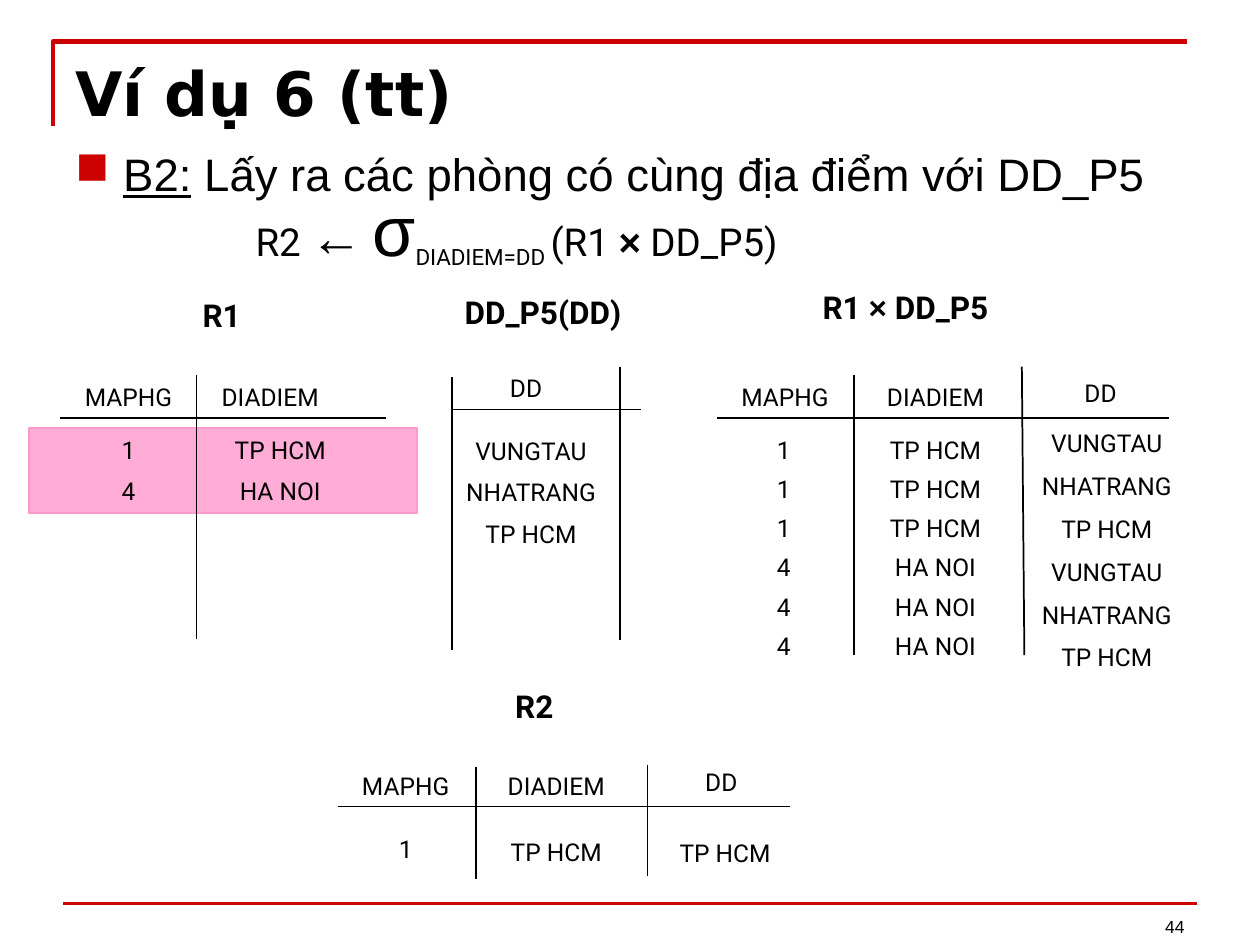
from lxml.etree import SubElement
from pptx import Presentation
from pptx.dml.color import RGBColor as RGB
from pptx.enum.shapes import MSO_CONNECTOR as LINK, MSO_SHAPE as PRESET
from pptx.enum.text import MSO_ANCHOR as ANCHOR, PP_ALIGN as ALIGN
from pptx.oxml.ns import qn
from pptx.util import Inches, Pt

COLORS = {"ink": "000000", "accent": "CC0000", "mark": "FF99CC"}

deck = Presentation()
deck.slide_width, deck.slide_height = Inches(10), Inches(7.5)
COL = deck.slide_width // 100
ROW = deck.slide_height // 75
slide = deck.slides.add_slide(deck.slide_layouts[6])
shapes = slide.shapes


def write(x, y, w, h, runs, size, font="Roboto", bold=False, align=ALIGN.LEFT, anchor=ANCHOR.TOP):
    box = shapes.add_textbox(int(x * COL), int(y * ROW), int(w * COL), int(h * ROW))
    frame = box.text_frame
    frame.word_wrap = True
    frame.vertical_anchor = anchor
    paragraph = frame.paragraphs[0]
    paragraph.alignment = align
    for text in runs:
        paragraph.add_run().text = text
    paragraph.font.size = Pt(size)
    paragraph.font.name = font
    paragraph.font.bold = bold
    paragraph.font.color.rgb = RGB.from_string(COLORS["ink"])
    return paragraph


def rule(x1, y1, x2, y2, color="ink", width=1):
    line = shapes.add_connector(LINK.STRAIGHT, int(x1 * COL), int(y1 * ROW), int(x2 * COL), int(y2 * ROW))
    line.line.color.rgb = RGB.from_string(COLORS[color])
    line.line.width = Pt(width)
    SubElement(line._element.spPr, qn("a:effectLst"))


corner = shapes.build_freeform(int(4.2 * COL), int(10 * ROW))
corner.add_line_segments([(int(4.2 * COL), int(3.3 * ROW)), (int(94.2 * COL), int(3.3 * ROW))], close=False)
frame_corner = corner.convert_to_shape()
frame_corner.shadow.inherit = False
frame_corner.fill.background()
frame_corner.line.color.rgb = RGB.from_string(COLORS["accent"])
frame_corner.line.width = Pt(2.5)
rule(5, 71.7, 95, 71.7, "accent", 2)
write(71.7, 69.9, 23.3, 5, ["44"], 10, "Arial", align=ALIGN.RIGHT, anchor=ANCHOR.BOTTOM)

write(5, 3.9, 90, 6.8, ["Ví dụ 6 (tt)"], 35, "DejaVu Sans", bold=True)

step = write(5, 11.1, 90, 13.1, ["B2:", " Lấy ra các phòng có cùng địa điểm với DD_P5"],
             26, "Arial", align=ALIGN.JUSTIFY)
step.runs[0].font.underline = True
step_props = step._p.get_or_add_pPr()
step_props.set("marL", str(int(3.8 * COL)))
step_props.set("indent", str(int(-3.8 * COL)))
bullet_color = step_props.makeelement(qn("a:buClr"), {})
SubElement(bullet_color, qn("a:srgbClr"), val=COLORS["accent"])
bullet = step_props.makeelement(qn("a:buChar"), {"char": "■"})
step_props.insert(0, bullet_color)
step_props.insert(1, bullet)

formula = write(19.3, 14.3, 60, 7.7, ["R2 ", "←", " ", "σ", "DIADIEM=DD ", "(R1 ", "×", " DD_P5)"], 22)
arrow, sigma, condition, times = (formula.runs[i] for i in (1, 3, 4, 6))
for symbol, size in ((arrow, 30), (sigma, 40), (times, 22)):
    symbol.font.name = "Arial"
    symbol.font.size = Pt(size)
times.font.bold = True
condition.font._element.set("baseline", "-25000")

selected = shapes.add_shape(PRESET.RECTANGLE, int(2.3 * COL), int(34 * ROW), int(30.8 * COL), int(6.7 * ROW))
selected.shadow.inherit = False
selected.fill.solid()
selected.fill.fore_color.rgb = RGB.from_string(COLORS["mark"])
fill_color = selected._element.spPr.find(qn("a:solidFill"))[0]
SubElement(fill_color, qn("a:alpha"), val="80000")
selected.line.color.rgb = RGB.from_string(COLORS["mark"])
selected.line.width = Pt(1)

CITIES = ["VUNGTAU", "NHATRANG", "TP HCM"]
titles = [
    (15.1, 23, 8.5, ["R1"]),
    (35.9, 22.8, 18.3, ["DD_P5(DD)"]),
    (64.3, 22.4, 19, ["R1 ", "×", " DD_P5"]),
    (39.9, 54, 8.5, ["R2"]),
]
for x, y, width, runs in titles:
    title = write(x, y, width, 4, runs, 18, bold=True)
    for run in title.runs:
        if run.text == "×":
            run.font.name = "Arial"

rules = [
    (4.8, 33.2, 30.6, 33.2), (15.6, 29.8, 15.6, 50.7),
    (35.9, 32.5, 50.9, 32.5), (35.9, 29.9, 35.9, 51.6), (49.2, 29.1, 49.2, 50.8),
    (56.9, 33.2, 92.8, 33.2), (67.8, 29.8, 67.8, 52), (81.1, 29.1, 81.3, 52),
    (26.8, 64, 62.7, 64), (37.8, 60.9, 37.8, 69.8), (51.4, 60.7, 51.4, 69.5),
]
for ends in rules:
    rule(*ends)

columns = [
    ("MAPHG", 4.8, 29.8, 10.8, 4.8, 34, 10.8, 3.3, ["1", "4"]),
    ("DIADIEM", 15.6, 29.8, 11.7, 15.6, 34, 13.3, 3.3, ["TP HCM", "HA NOI"]),
    ("DD", 35.9, 29.1, 11.7, 35.5, 34.1, 13.3, 3.3, CITIES),
    ("MAPHG", 56.9, 29.8, 10.8, 56.8, 34, 10.8, 3.12, ["1"] * 3 + ["4"] * 3),
    ("DIADIEM", 67.8, 29.8, 12.9, 67.6, 34, 13.3, 3.12, ["TP HCM"] * 3 + ["HA NOI"] * 3),
    ("DD", 81.5, 29.5, 11.7, 81.2, 33.5, 13.3, 3.4, CITIES * 2),
    ("MAPHG", 26.8, 60.7, 10.8, 26.8, 65.7, 10.8, 0, ["1"]),
    ("DIADIEM", 37.7, 60.7, 12.9, 37.5, 65.9, 13.3, 0, ["TP HCM"]),
    ("DD", 51.4, 60.4, 11.7, 50.9, 66, 13.3, 0, ["TP HCM"]),
]
for name, name_x, name_y, name_w, x, y, width, pitch, values in columns:
    write(name_x, name_y, name_w, 3.4, [name], 14, align=ALIGN.CENTER)
    for i, value in enumerate(values):
        write(x, y + i * pitch, width, 3.4, [value], 14, align=ALIGN.CENTER)

deck.save("out.pptx")
